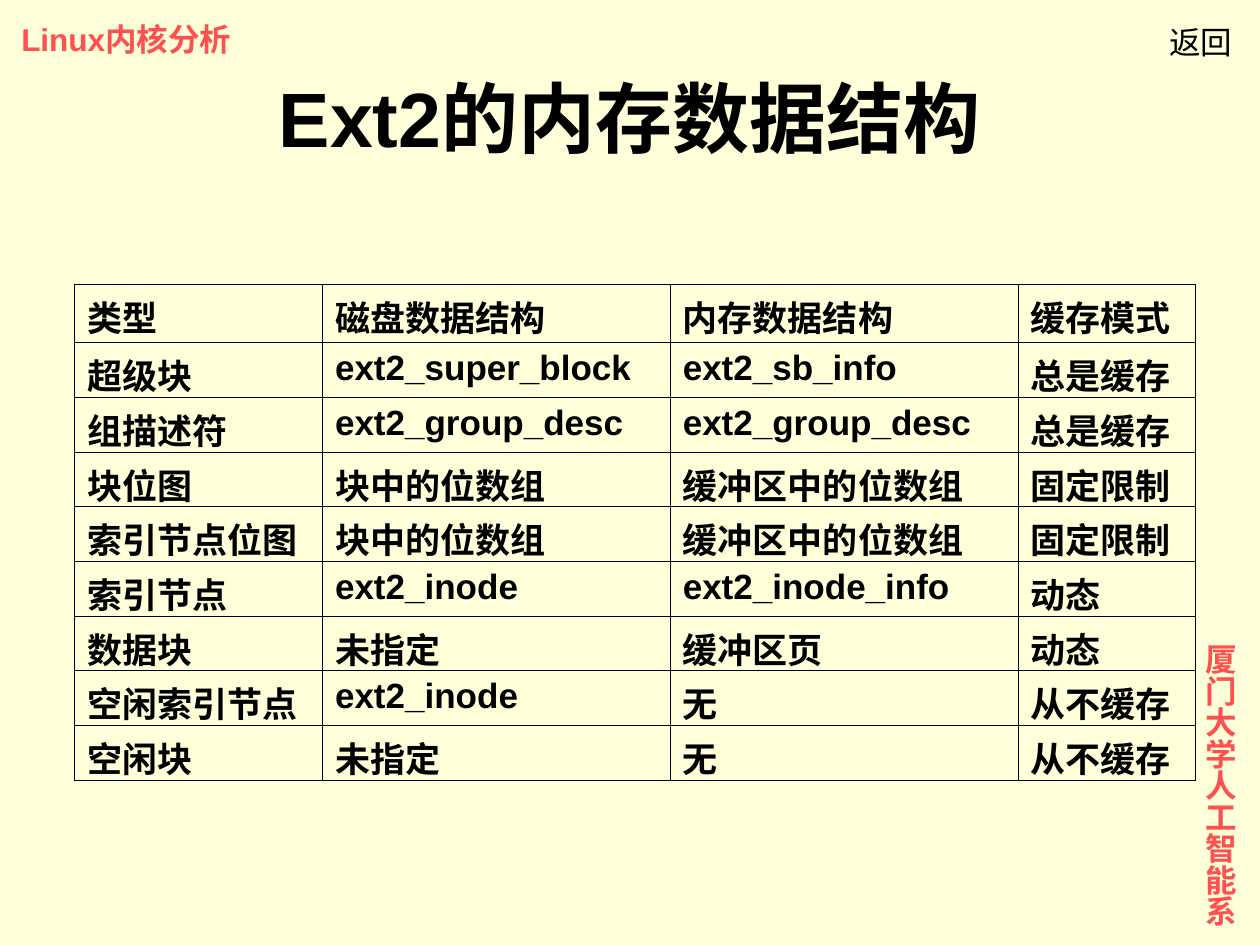
import pptx
import pptx.dml.color
import pptx.enum.text
import pptx.oxml
import pptx.oxml.ns
import pptx.util
from pptx.util import Cm

INK = "000000"
RED = "FF5050"
PAPER = "FFFFD9"
BORDER_WIDTH = pptx.util.Pt(0.45)

COLUMN_WIDTHS = [5, 7.01, 7.01, 3.58]
HEADER_HEIGHT = 1.17
ROW_HEIGHT = 1.1
STRUCTURES = [
    ("类型", "磁盘数据结构", "内存数据结构", "缓存模式"),
    ("超级块", "ext2_super_block", "ext2_sb_info", "总是缓存"),
    ("组描述符", "ext2_group_desc", "ext2_group_desc", "总是缓存"),
    ("块位图", "块中的位数组", "缓冲区中的位数组", "固定限制"),
    ("索引节点位图", "块中的位数组", "缓冲区中的位数组", "固定限制"),
    ("索引节点", "ext2_inode", "ext2_inode_info", "动态"),
    ("数据块", "未指定", "缓冲区页", "动态"),
    ("空闲索引节点", "ext2_inode", "无", "从不缓存"),
    ("空闲块", "未指定", "无", "从不缓存"),
]


def color(hex_string):
    return pptx.dml.color.RGBColor.from_string(hex_string)


def style_text(frame, size, ink=INK, bold=True, font="Arial"):
    for run in frame.paragraphs[0].runs:
        run.font.size = pptx.util.Pt(size)
        run.font.name = font
        run.font.bold = bold
        run.font.color.rgb = color(ink)


def add_label(slide, box, text, size, **style):
    label = slide.shapes.add_textbox(*map(Cm, box))
    label.text_frame.text = text
    label.text_frame.word_wrap = False
    style_text(label.text_frame, size, **style)
    return label


def add_title(slide, box):
    title = add_label(slide, box, "Ext2的内存数据结构", 44).text_frame
    title.word_wrap = True
    title.vertical_anchor = pptx.enum.text.MSO_ANCHOR.MIDDLE
    title.paragraphs[0].alignment = pptx.enum.text.PP_ALIGN.CENTER


def add_department(slide, box):
    department = add_label(slide, box, "厦门大学人工智能系", 18, ink=RED)
    frame = department.text_frame
    frame.margin_left = frame.margin_right = Cm(0.13)
    frame.margin_top = frame.margin_bottom = Cm(0.25)
    body = department.element.find(".//" + pptx.oxml.ns.qn("a:bodyPr"))
    body.set("vert", "eaVert")


def add_borders(cell):
    properties = cell._tc.get_or_add_tcPr()
    for position, side in enumerate(("lnL", "lnR", "lnT", "lnB")):
        border = pptx.oxml.parse_xml(
            f'<a:{side} {pptx.oxml.ns.nsdecls("a")} w="{BORDER_WIDTH}">'
            f'<a:solidFill><a:srgbClr val="{INK}"/></a:solidFill></a:{side}>'
        )
        properties.insert(position, border)


def add_structure_table(slide, left, top):
    heights = [HEADER_HEIGHT] + [ROW_HEIGHT] * (len(STRUCTURES) - 1)
    box = left, top, sum(COLUMN_WIDTHS), sum(heights)
    table = slide.shapes.add_table(
        len(STRUCTURES), len(COLUMN_WIDTHS), *map(Cm, box)
    ).table
    table.first_row = table.horz_banding = False
    for column, width in zip(table.columns, COLUMN_WIDTHS):
        column.width = Cm(width)
    for row, height, texts in zip(table.rows, heights, STRUCTURES):
        row.height = Cm(height)
        for cell, text in zip(row.cells, texts):
            cell.text_frame.text = text
            style_text(cell.text_frame, 20)
            cell.fill.background()
            add_borders(cell)


def main():
    deck = pptx.Presentation()
    deck.slide_width, deck.slide_height = Cm(25.4), Cm(19.05)
    slide = deck.slides.add_slide(deck.slide_layouts[6])
    slide.background.fill.solid()
    slide.background.fill.fore_color.rgb = color(PAPER)
    add_label(slide, (0.18, 0.28, 4.88, 1.02), "Linux内核分析", 18, ink=RED)
    add_department(slide, (23.83, 12.73, 1.27, 5.97))
    add_title(slide, (1.27, 0.76, 22.86, 3.18))
    add_label(slide, (23.32, 0.33, 1.78, 1.02), "返回", 18,
              bold=False, font="DejaVu Sans")
    add_structure_table(slide, 1.5, 5.74)
    deck.save("out.pptx")


if __name__ == "__main__":
    main()
